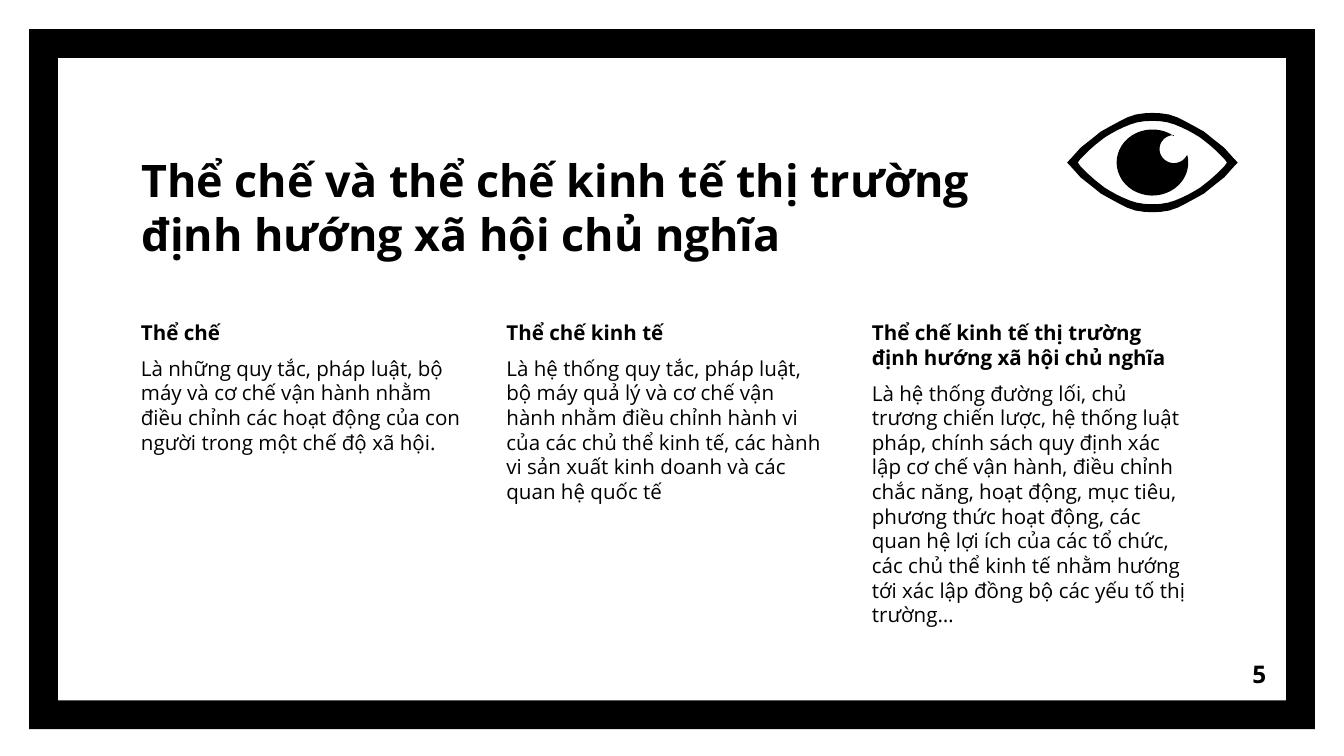
from math import cos, radians, sin

from pptx import Presentation
from pptx import util as u
from pptx.dml.color import RGBColor
from pptx.enum import shapes, text

COLORS = {"ink": "000000", "paper": "FFFFFF"}


class Deck:
    font = "Open Sans"
    inset = 7.2

    def __init__(self, prs):
        self.s = prs.slides.add_slide(prs.slide_layouts[5])
        bg = self.s.background.fill
        bg.solid()
        bg.fore_color.rgb = RGBColor.from_string(COLORS["paper"])

    def paint(self, sp):
        sp.shadow.inherit = False
        sp.fill.solid()
        sp.fill.fore_color.rgb = RGBColor.from_string(COLORS["ink"])
        sp.line.fill.background()

    def frame(self, x, y, w, h, adj):
        sp = self.s.shapes.add_shape(shapes.MSO_SHAPE.FRAME, u.Pt(x), u.Pt(y), u.Pt(w), u.Pt(h))
        sp.adjustments[0] = adj
        self.paint(sp)

    def outline(self, contours):
        """Closed contours in points; an inner contour makes a hole."""
        pts = [[(u.Pt(x), u.Pt(y)) for x, y in c] for c in contours]
        fb = self.s.shapes.build_freeform(*pts[0][0])
        for i, c in enumerate(pts):
            if i:
                fb.move_to(*c[0])
            fb.add_line_segments(c[1:], close=True)
        self.paint(fb.convert_to_shape())

    def fill_text(self, tf, paras, size, anchor, align):
        """paras is a list of (wording, bold)."""
        tf.word_wrap = True
        tf.auto_size = text.MSO_AUTO_SIZE.NONE
        tf.vertical_anchor = anchor
        tf.margin_left = tf.margin_right = tf.margin_top = tf.margin_bottom = u.Pt(self.inset)
        for i, (words, bold) in enumerate(paras):
            p = tf.add_paragraph() if i else tf.paragraphs[0]
            p.alignment = align
            p.space_before = u.Pt(6 if i else 0)
            r = p.add_run()
            r.text = words
            r.font.name = self.font
            r.font.size = u.Pt(size)
            r.font.bold = bold
            r.font.color.rgb = RGBColor.from_string(COLORS["ink"])

    def title(self, x, y, w, h, words, size):
        sp = self.s.shapes.title
        sp.left, sp.top, sp.width, sp.height = map(u.Pt, (x, y, w, h))
        self.fill_text(sp.text_frame, [(words, True)], size,
                       text.MSO_ANCHOR.BOTTOM, text.PP_ALIGN.LEFT)

    def textbox(self, x, y, w, h, paras, size,
                anchor=text.MSO_ANCHOR.TOP, align=text.PP_ALIGN.LEFT):
        sp = self.s.shapes.add_textbox(*map(u.Pt, (x, y, w, h)))
        self.fill_text(sp.text_frame, paras, size, anchor, align)


def lens(cx, cy, quarter):
    """Mirror a top-to-right quarter outline into a full eye contour."""
    right = quarter + [(x, -y) for x, y in quarter[-2::-1]]
    left = [(-x, y) for x, y in right[-2:0:-1]]
    return [(cx + x, cy - y) for x, y in right + left]


def arc(cx, cy, rx, ry, start, end, steps=40):
    angles = [radians(start + (end - start) * i / steps) for i in range(steps + 1)]
    return [(cx + rx * cos(a), cy - ry * sin(a)) for a in angles]


COLUMNS = [
    ("Thể chế",
     "Là những quy tắc, pháp luật, bộ máy và cơ chế vận hành nhằm điều chỉnh các hoạt động "
     "của con người trong một chế độ xã hội.", 111),
    ("Thể chế kinh tế",
     "Là hệ thống quy tắc, pháp luật, bộ máy quả lý và cơ chế vận hành nhằm điều chỉnh hành vi "
     "của các chủ thể kinh tế, các hành vi sản xuất kinh doanh và các quan hệ quốc tế", 158.5),
    ("Thể chế kinh tế thị trường định hướng xã hội chủ nghĩa",
     "Là hệ thống đường lối, chủ trương chiến lược, hệ thống luật pháp, chính sách quy định xác "
     "lập cơ chế vận hành, điều chỉnh chắc năng, hoạt động, mục tiêu, phương thức hoạt động, các "
     "quan hệ lợi ích của các tổ chức, các chủ thể kinh tế nhằm hướng tới xác lập đồng bộ các "
     "yếu tố thị trường…", 206.5),
]
OUTER_LID = [(0, 26.6), (4.5, 26.4), (9, 25.7), (13.2, 24.3), (17.4, 22.2), (22.6, 19.4),
             (27.6, 16.6), (33.1, 12.2), (38.5, 7.9), (43, 2.9), (45.7, 0)]
INNER_LID = [(0, 22.3), (4, 22.2), (8.3, 21.5), (11.9, 20.4), (15.5, 18.9), (19.1, 17.2),
             (22.7, 15.2), (25.6, 13.4), (30.6, 9.5), (34.2, 6.3), (38.5, 2), (40, 0)]


def main():
    prs = Presentation()
    prs.slide_width, prs.slide_height = u.Pt(720), u.Pt(405)
    deck = Deck(prs)

    # Frame and title
    deck.frame(15.6, 15.6, 688.8, 375, 0.041)
    deck.title(68.4, 39.6, 476.6, 107.3,
               "Thể chế và thể chế kinh tế thị trường định hướng xã hội chủ nghĩa", 24)

    # Three definition columns
    left, step = 68.4, 195.8
    for i, (heading, body, height) in enumerate(COLUMNS):
        deck.textbox(left + i * step, 164.2, 186.5, height, [(heading, True), (body, False)], 11)

    # Eye: lids, then iris with a round highlight cut out
    cx, cy = 617.4, 87.1
    deck.outline([lens(cx, cy, OUTER_LID), lens(cx, cy, INNER_LID)])
    iris = arc(cx, cy, 19.2, 17.7, 53, 372)
    highlight = arc(cx + 11.5, cy - 7.2, 7.7, 7.5, -27, -270)
    deck.outline([iris + highlight])

    # Page number
    deck.textbox(642.2, 345.6, 43.2, 31, [("5", True)], 13,
                 text.MSO_ANCHOR.MIDDLE, text.PP_ALIGN.RIGHT)

    prs.save("out.pptx")


if __name__ == "__main__":
    main()
